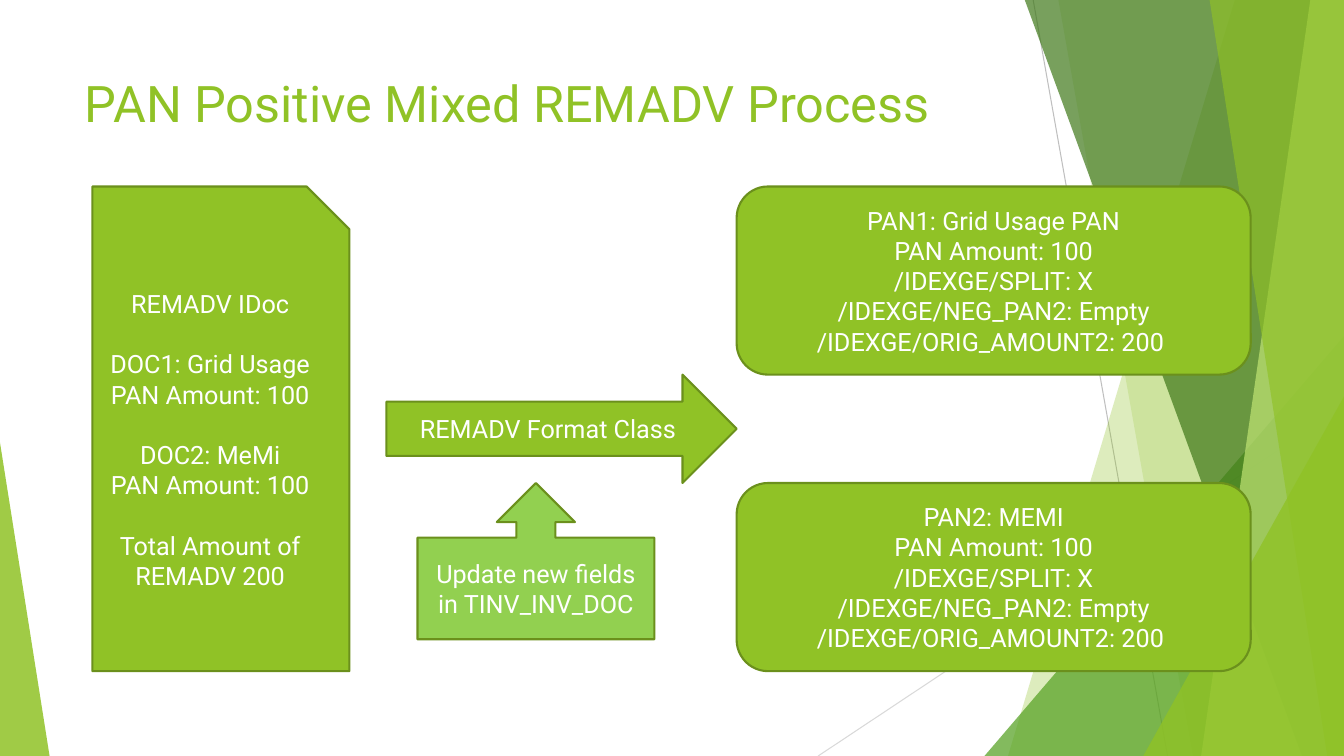
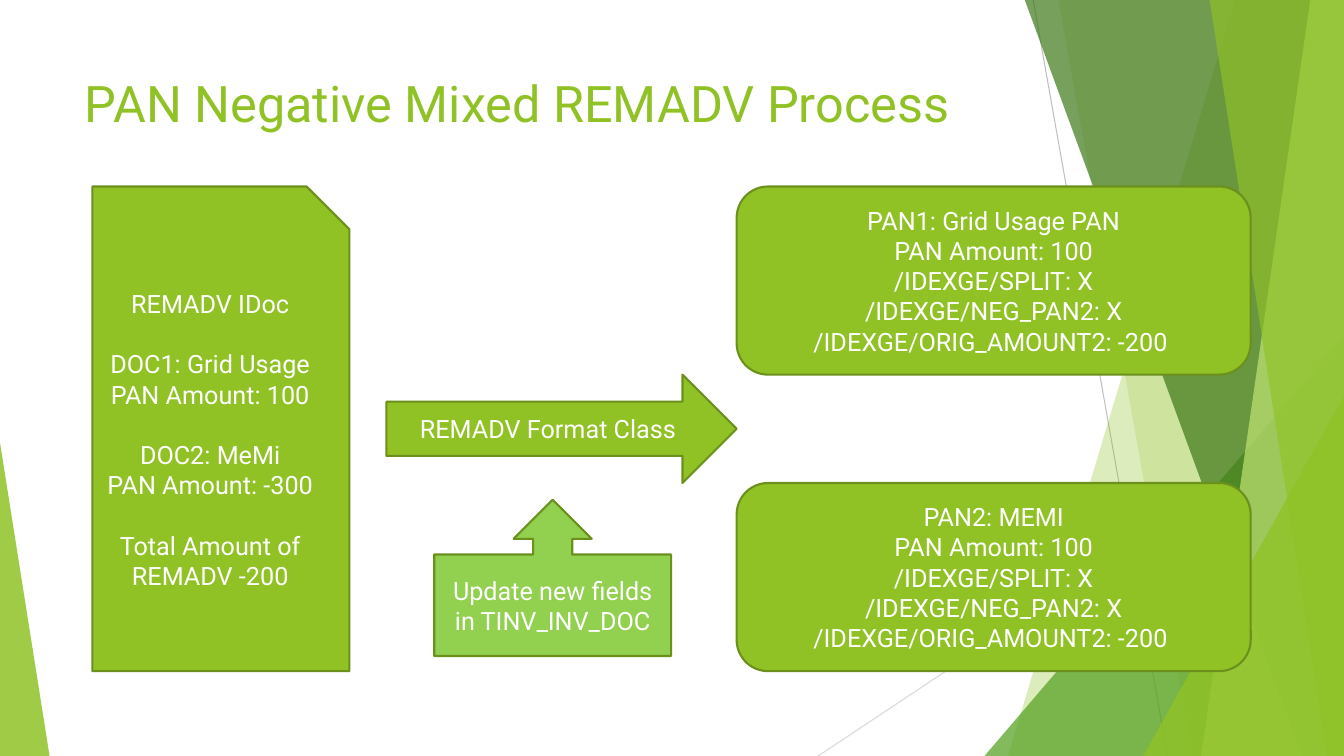
from lxml import etree
from pptx import Presentation
from pptx import util as u
from pptx.dml import color
from pptx.enum import shapes, text
from pptx.oxml import ns

COLS, ROWS = 160, 90
CELL = u.Inches(1 / 12)
FONT = "Roboto"
GREEN, LIGHT, EDGE, WHITE = "90C226", "92D050", "6B901C", "FFFFFF"
KIND = shapes.MSO_SHAPE

TOP, HEIGHT = 22.2, 57.7
DOC_X, DOC_W = 11, 30.6
PAN_X, PAN_W, PAN_H = 87.7, 61.2, 22.4
ARROW_X = 46
CALLOUT_X, CALLOUT_W, CALLOUT_H = 49.7, 28.2, 18.6


def cells(*lengths):
    """Turn grid lengths into EMU."""
    return [round(n * CELL) for n in lengths]


def rgb(value):
    """Make a colour from a hex string."""
    return color.RGBColor.from_string(value)


def paint(sp, fill, alpha=100):
    """Fill a shape evenly, with an opacity in percent."""
    sp.shadow.inherit = False
    sp.fill.solid()
    sp.fill.fore_color.rgb = rgb(fill)
    if alpha < 100:
        srgb = sp.element.spPr.find(".//" + ns.qn("a:srgbClr"))
        etree.SubElement(srgb, ns.qn("a:alpha"), val=str(alpha * 1000))


def style_text(tf, size, ink, align):
    """Format every paragraph and run of a text frame."""
    tf.word_wrap = True
    for p in tf.paragraphs:
        p.alignment = align
        for r in p.runs:
            r.font.name = FONT
            r.font.size = u.Pt(size)
            r.font.color.rgb = rgb(ink)


def hairline(group, x1, y1, x2, y2, ink):
    """Draw a thin background line."""
    line = group.shapes.add_connector(
        shapes.MSO_CONNECTOR.STRAIGHT, *cells(x1, y1, x2, y2))
    line.line.color.rgb = rgb(ink)
    line.line.width = u.Pt(0.75)
    etree.SubElement(line.element.spPr, ns.qn("a:effectLst"))


def facet(group, top_x, bottom_x, fill, alpha):
    """Draw a full-height panel from a slanted edge to the right margin."""
    builder = group.shapes.build_freeform(top_x, 0, scale=CELL)
    builder.add_line_segments([(COLS, 0), (COLS, ROWS), (bottom_x, ROWS)])
    sp = builder.convert_to_shape()
    paint(sp, fill, alpha)
    sp.line.fill.background()


def corner(group, x, y, width, apex, fill, alpha):
    """Draw a triangle standing on the bottom edge."""
    sp = group.shapes.add_shape(
        KIND.ISOSCELES_TRIANGLE, *cells(x, y, width, ROWS - y))
    sp.adjustments[0] = apex
    paint(sp, fill, alpha)
    sp.line.fill.background()


def add_backdrop(s, layout):
    """Draw the facets once and place them on the layout."""
    group = s.shapes.add_group_shape()
    hairline(group, 123, 0, 139, ROWS, "BFBFBF")
    hairline(group, COLS, 48.4, 97.4, ROWS, "D9D9D9")
    facet(group, 147.4, 120.5, GREEN, 30)
    facet(group, 126, 142, GREEN, 20)
    corner(group, 117.2, 40, 42.8, 1, "54A021", 72)
    facet(group, 122.5, 154.9, "3F7819", 70)
    facet(group, 156.4, 143, "C0E474", 70)
    facet(group, 143.5, 158.2, GREEN, 65)
    corner(group, 136.1, 47.2, 23.9, 1, GREEN, 80)
    corner(group, 0, 52.7, 5.9, 0, GREEN, 85)
    layout.shapes.element.insert(2, group.element)


def add_title(s, title):
    """Set and place the slide title."""
    sp = s.shapes.title
    sp.left, sp.top, sp.width, sp.height = cells(8.9, 8, 112.8, 17.3)
    tf = sp.text_frame
    tf.text = title
    tf.vertical_anchor = text.MSO_ANCHOR.TOP
    style_text(tf, 36, GREEN, text.PP_ALIGN.LEFT)


def add_box(s, kind, x, y, w, h, blocks, fill=GREEN):
    """Add an outlined shape whose blocks of lines are set apart."""
    sp = s.shapes.add_shape(kind, *cells(x, y, w, h))
    paint(sp, fill)
    sp.line.color.rgb = rgb(EDGE)
    sp.line.width = u.Pt(1.5)
    tf = sp.text_frame
    tf.text = "\n".join(line for block in blocks for line in block)
    tf.vertical_anchor = text.MSO_ANCHOR.MIDDLE
    style_text(tf, 18, WHITE, text.PP_ALIGN.CENTER)
    start = 0
    for block in blocks[:-1]:
        start += len(block)
        tf.paragraphs[start].space_before = u.Pt(21.6)


def add_process(s, sign, memi_amount, total, negative, shift):
    """Add one REMADV process, its callout shifted by some cells."""
    add_title(s, f"PAN {sign} Mixed REMADV Process")
    add_box(s, KIND.SNIP_1_RECTANGLE, DOC_X, TOP, DOC_W, HEIGHT, [
        ["REMADV IDoc"],
        ["DOC1: Grid Usage", "PAN Amount: 100"],
        ["DOC2: MeMi", f"PAN Amount: {memi_amount}"],
        [f"Total Amount of REMADV {total}"]])
    pans = [("PAN1: Grid Usage PAN", TOP),
            ("PAN2: MEMI", TOP + HEIGHT - PAN_H)]
    for name, y in pans:
        add_box(s, KIND.ROUNDED_RECTANGLE, PAN_X, y, PAN_W, PAN_H, [[
            name, "PAN Amount: 100", "/IDEXGE/SPLIT: X",
            f"/IDEXGE/NEG_PAN2: {negative}",
            f"/IDEXGE/ORIG_AMOUNT2: {total} "]])
    arrow_y, arrow_h = TOP + PAN_H, HEIGHT - 2 * PAN_H
    add_box(s, KIND.RIGHT_ARROW, ARROW_X, arrow_y, PAN_X - ARROW_X, arrow_h,
            [["REMADV Format Class"]])
    add_box(s, KIND.UP_ARROW_CALLOUT, CALLOUT_X + shift,
            arrow_y + arrow_h + shift, CALLOUT_W, CALLOUT_H,
            [["Update new fields in TINV_INV_DOC"]], LIGHT)


def main():
    """Build and save the presentation."""
    prs = Presentation()
    prs.slide_width, prs.slide_height = cells(COLS, ROWS)
    layout = prs.slide_layouts[5]
    for ph in list(layout.placeholders)[1:]:
        layout.shapes.element.remove(ph.element)
    processes = [("Positive", 100, 200, "Empty", 0),
                 ("Negative", -300, -200, "X", 2)]
    slides = [prs.slides.add_slide(layout) for _ in processes]
    add_backdrop(slides[0], layout)
    for s, process in zip(slides, processes):
        add_process(s, *process)
    prs.save("out.pptx")


if __name__ == "__main__":
    main()
